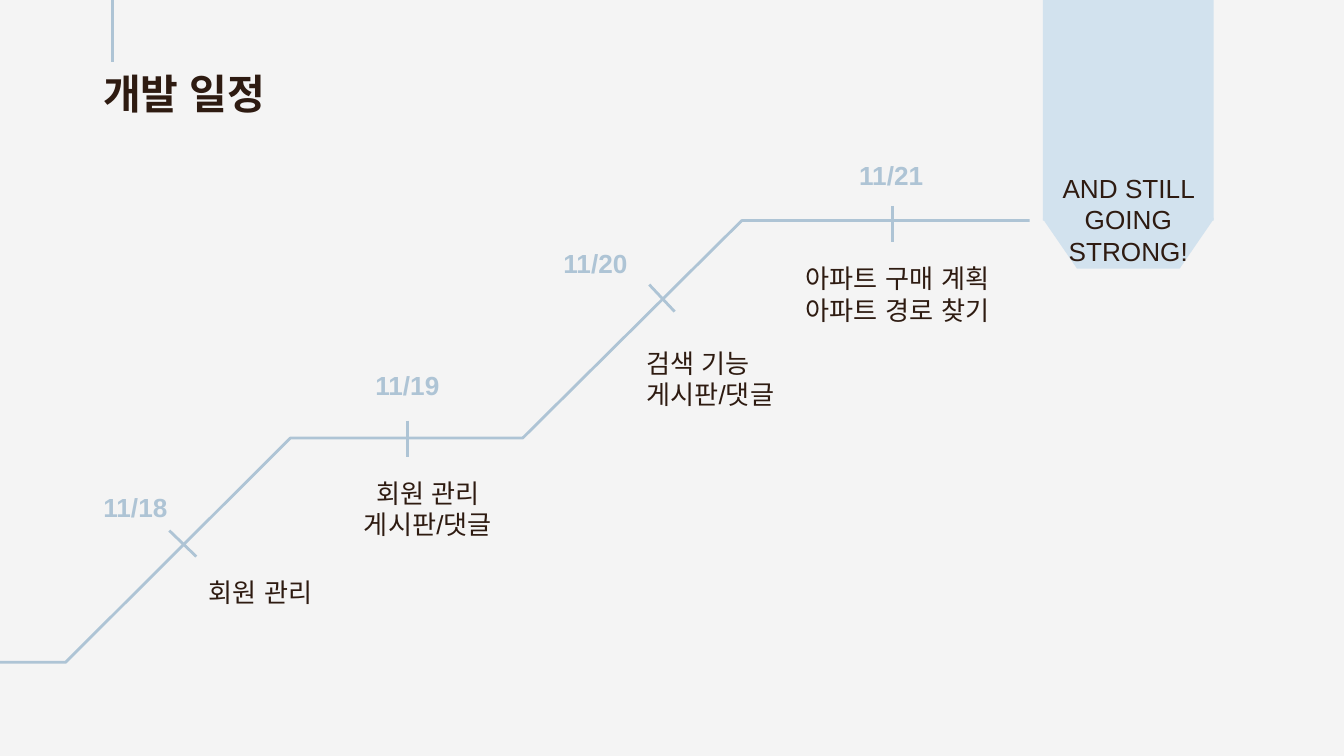
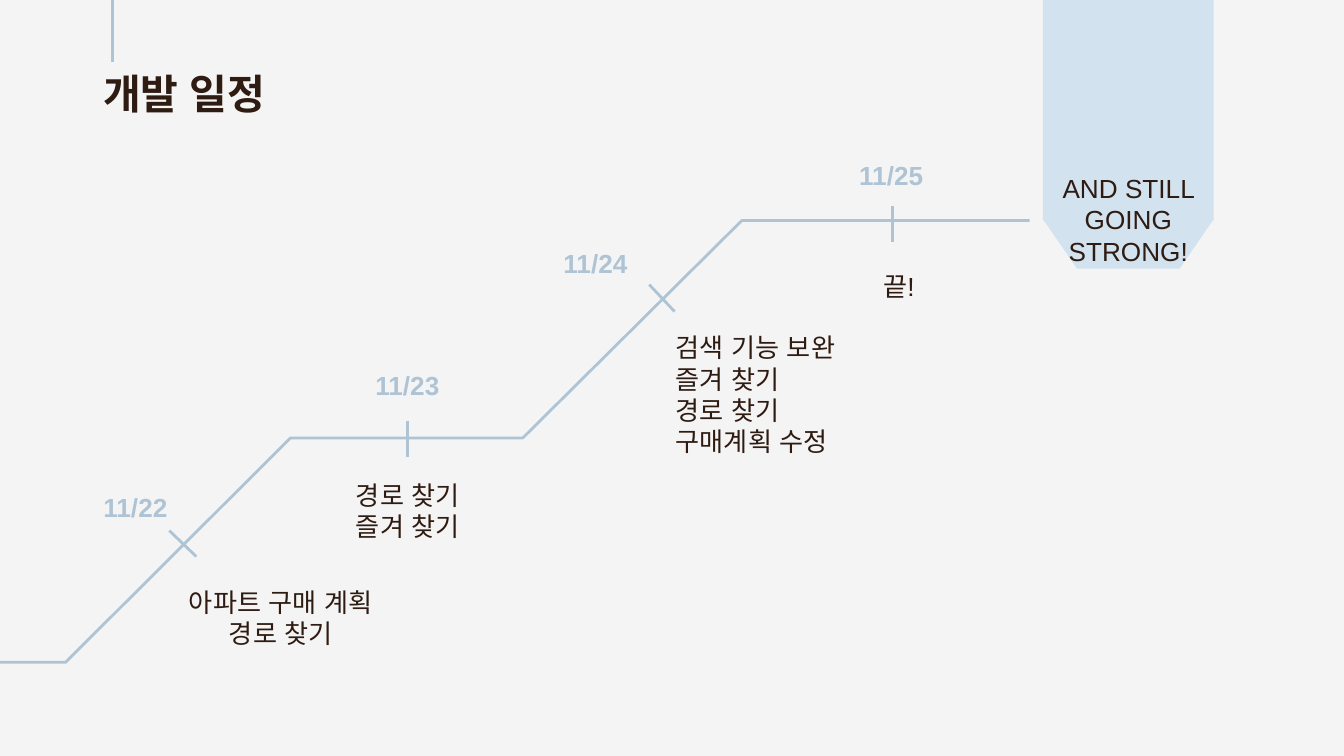
import pptx
import pptx.dml.color
import pptx.enum.shapes
import pptx.enum.text
import pptx.oxml.ns
import pptx.util
import lxml.etree

Cm = pptx.util.Cm
Pt = pptx.util.Pt
Align = pptx.enum.text.PP_ALIGN
Anchor = pptx.enum.text.MSO_ANCHOR
Shape = pptx.enum.shapes.MSO_SHAPE
qn = pptx.oxml.ns.qn

FONT = "Arial"
PAPER = "F4F4F4"
BROWN = "2E1B11"
STEEL = "AEC4D5"
SKY = "D2E2EE"


def color(value):
    return pptx.dml.color.RGBColor.from_string(value)


def write(box, place, lines, align, anchor, size=14, tint=BROWN, bold=False):
    box.left, box.top, box.width, box.height = map(Cm, place)
    frame = box.text_frame
    frame.auto_size = pptx.enum.text.MSO_AUTO_SIZE.NONE
    frame.word_wrap = True
    frame.vertical_anchor = anchor
    frame.margin_left = frame.margin_right = Cm(0.25)
    frame.margin_top = frame.margin_bottom = Cm(0.25)
    for number, line in enumerate(lines):
        para = frame.add_paragraph() if number else frame.paragraphs[0]
        para.alignment = align
        span = para.add_run()
        span.text = line
        span.font.name = FONT
        span.font.size = Pt(size)
        span.font.bold = bold
        span.font.color.rgb = color(tint)
        latin = span.font._element.find(qn("a:latin"))
        asian = lxml.etree.Element(qn("a:ea"), typeface=FONT)
        latin.addnext(asian)


route = [(0, 12.52), (1.24, 12.52), (5.49, 8.28), (9.88, 8.28), (14.02, 4.17), (19.46, 4.17)]

strokes = [
    (2.13, 0, 2.13, 1.17),
    (3.2, 10.03, 3.71, 10.52),
    (7.7, 7.95, 7.7, 8.64),
    (12.27, 5.38, 12.75, 5.89),
    (16.87, 3.89, 16.87, 4.57),
]

date_places = [
    ((1.24, 9.04, 2.64, 0.94), Align.CENTER),
    ((6.38, 6.73, 2.64, 0.94), Align.CENTER),
    ((8.38, 4.42, 3.73, 0.94), Align.RIGHT),
    ((13.97, 2.77, 3.73, 0.94), Align.RIGHT),
]

banner_parts = [
    (Shape.RECTANGLE, 0, 4.17),
    (Shape.FLOWCHART_PREPARATION, 3.2, 1.88),
]

schedules = [
    [
        ("11/18", (3.61, 10.57, 2.64, 1.17), Align.CENTER, ["회원 관리"]),
        ("11/19", (6.35, 9.14, 3.48, 1.32), Align.CENTER, ["회원 관리", "게시판/댓글"]),
        ("11/20", (11.96, 6.2, 3.68, 1.8), Align.LEFT, ["검색 기능", "게시판/댓글"]),
        ("11/21", (14.83, 5.21, 4.27, 1.19), Align.CENTER,
         ["아파트 구매 계획", "아파트 경로 찾기"]),
    ],
    [
        ("11/22", (3.2, 10.69, 4.22, 1.83), Align.CENTER, ["아파트 구매 계획", "경로 찾기"]),
        ("11/23", (6.02, 8.64, 3.38, 1.85), Align.CENTER, ["경로 찾기", "즐겨 찾기"]),
        ("11/24", (12.52, 7.67, 4.32, 1.22), Align.LEFT,
         ["검색 기능 보완", "즐겨 찾기", "경로 찾기 구매계획 수정"]),
        ("11/25", (15.67, 4.78, 2.64, 1.17), Align.CENTER, ["끝!"]),
    ],
]

deck = pptx.Presentation()
deck.slide_width = Cm(25.4)
deck.slide_height = Cm(14.29)
backdrop = deck.slide_master.background.fill
backdrop.solid()
backdrop.fore_color.rgb = color(PAPER)

for schedule in schedules:
    page = deck.slides.add_slide(deck.slide_layouts.get_by_name("Title Only"))
    write(page.shapes.title, (1.7, 1.04, 7.11, 2.62), ["개발 일정"],
          Align.LEFT, Anchor.TOP, size=22, bold=True)

    banner = page.shapes.add_group_shape()
    for kind, top, height in banner_parts:
        part = banner.shapes.add_shape(kind, Cm(19.71), Cm(top), Cm(3.23), Cm(height))
        part.shadow.inherit = False
        part.fill.solid()
        part.fill.fore_color.rgb = color(SKY)
        part.line.fill.background()
    slogan = page.shapes.add_textbox(0, 0, 0, 0)
    write(slogan, (19.79, 3.45, 3.07, 1.4), ["AND STILL GOING STRONG!"],
          Align.CENTER, Anchor.MIDDLE)

    points = [(Cm(x), Cm(y)) for x, y in route]
    builder = page.shapes.build_freeform(*points[0])
    builder.add_line_segments(points[1:], close=False)
    path_line = builder.convert_to_shape()
    path_line.shadow.inherit = False
    path_line.fill.background()
    path_line.line.color.rgb = color(STEEL)
    path_line.line.width = Pt(1.5)

    for ends in strokes:
        stroke = page.shapes.add_connector(
            pptx.enum.shapes.MSO_CONNECTOR.STRAIGHT, *map(Cm, ends))
        stroke.line.color.rgb = color(STEEL)
        stroke.line.width = Pt(1.5)
        lxml.etree.SubElement(stroke._element.spPr, qn("a:effectLst"))

    for (date, task_place, task_align, tasks), (date_place, date_align) in zip(
            schedule, date_places):
        date_box = page.shapes.add_textbox(0, 0, 0, 0)
        write(date_box, date_place, [date], date_align, Anchor.TOP, tint=STEEL, bold=True)
        task_box = page.shapes.add_textbox(0, 0, 0, 0)
        write(task_box, task_place, tasks, task_align, Anchor.BOTTOM)

deck.save("out.pptx")
